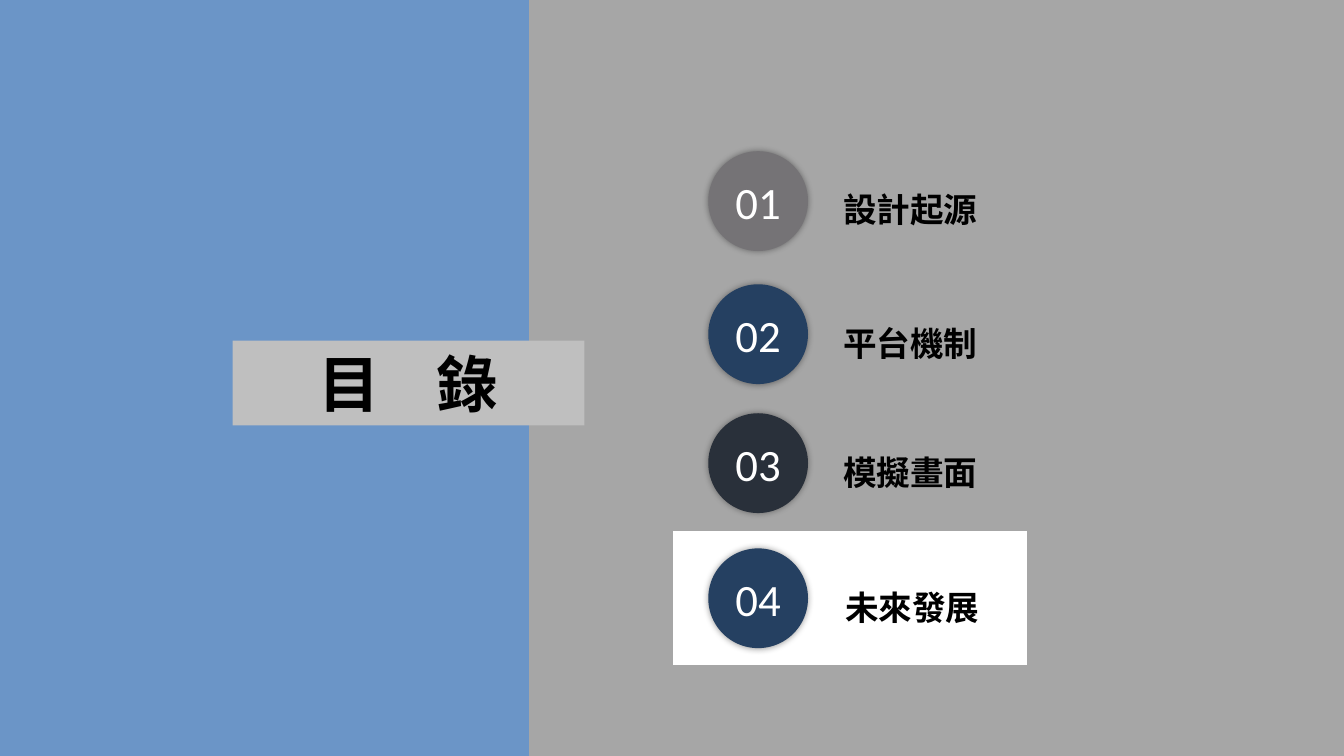
"""Build a contents slide with four numbered topics, the last one lit."""
import pptx
import pptx.util
import pptx.dml.color
import pptx.enum.shapes
import pptx.enum.text
import pptx.oxml
import pptx.oxml.ns
import lxml.etree

Inches, Pt = pptx.util.Inches, pptx.util.Pt
SHAPE = pptx.enum.shapes.MSO_SHAPE
ALIGN = pptx.enum.text.PP_ALIGN
MIDDLE = pptx.enum.text.MSO_ANCHOR.MIDDLE
FIT = pptx.enum.text.MSO_AUTO_SIZE
qn = pptx.oxml.ns.qn

HEX = {"veil": "A6A6A6", "side": "6B95C7", "band": "BFBFBF", "gray": "757376",
       "navy": "254061", "dark": "29303A", "black": "000000", "white": "FFFFFF"}
HAN, LATIN = "Noto Sans CJK SC", "Calibri"
WIDE, HIGH = 13.34, 7.5
HOLE = (6.67, 5.25, 3.54, 1.36)
TITLE = ("目 ", "錄")
TOPICS = [("設計起源", "gray", 1.5, 8.27), ("平台機制", "navy", 2.82, 8.27),
          ("模擬畫面", "dark", 4.1, 8.27), ("未來發展", "navy", 5.44, 8.29)]
DOT_LEFT, DOT, DROP = 7.03, 0.99, 0.21


def color(name):
    return pptx.dml.color.RGBColor.from_string(HEX[name])


def paint(shape, name):
    shape.fill.solid()
    shape.fill.fore_color.rgb = color(name)
    shape.line.fill.background()
    shape.shadow.inherit = False


def place(shape, *box):
    shape.left, shape.top, shape.width, shape.height = map(Inches, box)


def write(para, text, size, font, ink, bold=False):
    run = para.add_run()
    run.text = text
    run.font.size, run.font.bold, run.font.name = Pt(size), bold, font
    run.font.color.rgb = color(ink)
    props = run.font._element
    lxml.etree.SubElement(props, qn("a:ea"), typeface=font)
    return props


def corners(left, top, width, height):
    right, base = left + width, top + height
    points = [(left, top), (left, base), (right, base), (right, top)]
    return [(Inches(x), Inches(y)) for x, y in points]


def add_veil(slide):
    outer = corners(0, 0, WIDE, HIGH)[::-1]
    inner = corners(*HOLE)
    pen = slide.shapes.build_freeform(*outer[0])
    pen.add_line_segments(outer[1:])
    pen.move_to(*inner[0])
    pen.add_line_segments(inner[1:])
    veil = pen.convert_to_shape()
    paint(veil, "veil")
    veil.line.color.rgb = color("veil")
    veil.line.width = Pt(2)


def add_label(slide, text, left, top):
    box = slide.shapes.add_textbox(*map(Inches, (left, top, 1.55, 0.57)))
    frame = box.text_frame
    frame.word_wrap = False
    frame.auto_size = FIT.SHAPE_TO_FIT_TEXT
    para = frame.paragraphs[0]
    para.line_spacing = 1.3
    write(para, text, 24, HAN, "black", True)


def add_dot(slide, text, fill, top):
    dot = slide.shapes.add_shape(SHAPE.OVAL, *map(Inches, (DOT_LEFT, top, DOT, DOT)))
    paint(dot, fill)
    glow = lxml.etree.SubElement(dot._element.spPr.find(qn("a:effectLst")),
                                 qn("a:outerShdw"), blurRad=str(Pt(5)), dist="0", dir="0")
    tint = lxml.etree.SubElement(glow, qn("a:srgbClr"), val=HEX["black"])
    lxml.etree.SubElement(tint, qn("a:alpha"), val="40000")
    dot.text_frame.vertical_anchor = MIDDLE
    para = dot.text_frame.paragraphs[0]
    para.alignment = ALIGN.CENTER
    write(para, text, 32, LATIN, "white")


def add_title(slide):
    title = slide.shapes.title
    slide.shapes._spTree.append(title._element)
    place(title, 2.31, 3.38, 3.49, 0.84)
    paint(title, "band")
    frame = title.text_frame
    frame.auto_size, frame.vertical_anchor = FIT.NONE, MIDDLE
    para = frame.paragraphs[0]
    para.alignment = ALIGN.CENTER
    first, last = TITLE
    write(para, first, 44, HAN, "black", True).set("spc", "1500")
    write(para, last, 44, HAN, "black", True)


def main():
    deck = pptx.Presentation()
    deck.slide_width, deck.slide_height = Inches(WIDE), Inches(HIGH)
    slide = deck.slides.add_slide(deck.slide_layouts[5])
    add_veil(slide)
    for text, _, top, left in TOPICS:
        add_label(slide, text, left, top + DROP)
    for count, (_, fill, top, _) in enumerate(TOPICS, 1):
        add_dot(slide, f"{count:02}", fill, top)
    side = slide.shapes.add_shape(SHAPE.RECTANGLE, 0, 0, Inches(5.25), Inches(HIGH))
    paint(side, "side")
    add_title(slide)
    deck.save("out.pptx")


if __name__ == "__main__":
    main()
